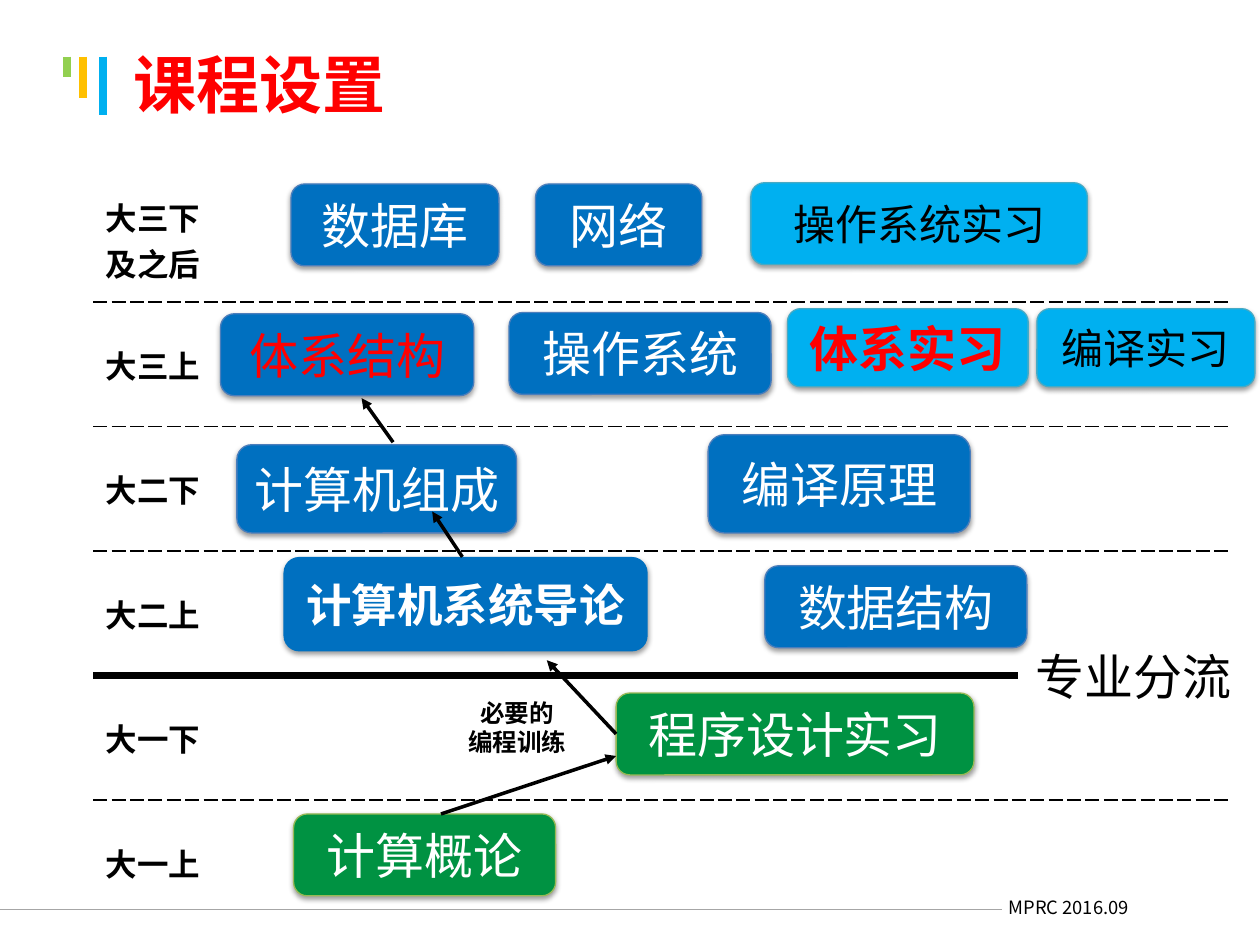
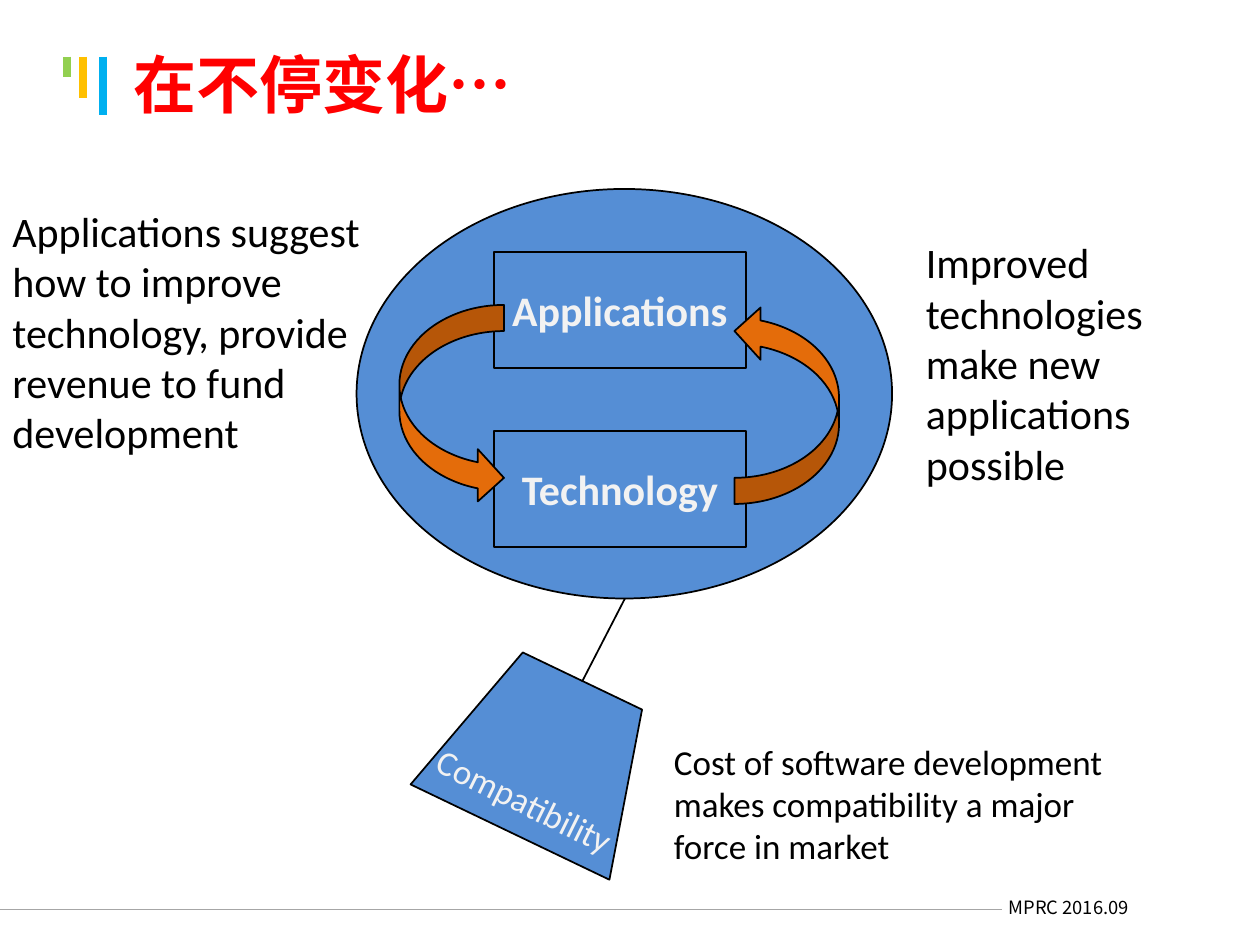
import collections

import pptx
import pptx.dml.color
import pptx.enum.dml
import pptx.enum.shapes
import pptx.enum.text
import pptx.oxml
import pptx.oxml.ns
import pptx.util

Box = collections.namedtuple("Box", "left top width height")
RGB = pptx.dml.color.RGBColor
SHAPE = pptx.enum.shapes.MSO_SHAPE
ALIGN = pptx.enum.text.PP_ALIGN
ANCHOR = pptx.enum.text.MSO_ANCHOR

SCALE = 9144  # EMU in one px, 100 px to the inch

BLACK = RGB(0x00, 0x00, 0x00)
WHITE = RGB(0xFF, 0xFF, 0xFF)
RED = RGB(0xFF, 0x00, 0x00)
GREY = RGB(0xA6, 0xA6, 0xA6)
PALE = RGB(0xF2, 0xF2, 0xF2)
BLUE = RGB(0x00, 0x70, 0xC0)
BLUE_EDGE = RGB(0x4B, 0x7E, 0xBC)
CYAN = RGB(0x00, 0xB0, 0xF0)
CYAN_EDGE = RGB(0x46, 0xAA, 0xC5)
GREEN = RGB(0x00, 0x92, 0x42)
GREEN_EDGE = RGB(0x98, 0xB9, 0x55)
YELLOW = RGB(0xFF, 0xC0, 0x00)
LIME = RGB(0x92, 0xD0, 0x50)
STEEL = RGB(0x55, 0x8E, 0xD5)
ORANGE = RGB(0xE4, 0x6C, 0x0A)

CJK = "Noto Sans CJK SC"
TITLE_BOX = Box(96, 4, 900, 125)


# Shared helpers

def px(*lengths):
    return [pptx.util.Emu(length * SCALE) for length in lengths]


def inside(box, left, top, width, height):
    return Box(box.left + left, box.top + top, width, height)


def xml(tag, content="", **attributes):
    listed = " ".join(f'{name}="{value}"' for name, value in attributes.items())
    return pptx.oxml.parse_xml(
        f'<a:{tag} {pptx.oxml.ns.nsdecls("a")} {listed}>{content}</a:{tag}>')


def text_format(size, color, name=CJK, bold=False):
    return {"size": pptx.util.Pt(size), "name": name, "bold": bold, "color": color}


def write(frame, text, style, align=ALIGN.LEFT, **frame_format):
    for name, value in frame_format.items():
        setattr(frame, name, value)
    for index, line in enumerate(text.split("\n")):
        para = frame.paragraphs[0] if index == 0 else frame.add_paragraph()
        para.alignment = align
        span = para.add_run()
        span.text = line
        for name, value in style.items():
            if name == "color":
                span.font.color.rgb = value
            else:
                setattr(span.font, name, value)
        span.font._element.append(xml("ea", typeface=CJK))


def add_text(page, box, text, style, wrap=True, turn=0):
    shape = page.shapes.add_textbox(*px(*box))
    shape.rotation = turn
    write(shape.text_frame, text, style, word_wrap=wrap)


def add_figure(page, kind, box, fill, edge=None, width=1, flips=()):
    shape = page.shapes.add_shape(kind, *px(*box))
    shape.shadow.inherit = False
    shape.fill.solid()
    shape.fill.fore_color.rgb = fill
    if edge is None:
        shape.line.fill.background()
    else:
        shape.line.color.rgb = edge
        shape.line.width = pptx.util.Pt(width)
    for flip in flips:
        shape._element.spPr.xfrm.set(flip, "1")
    return shape


def add_line(page, start, end, color, width, arrow=False):
    line = page.shapes.add_connector(
        pptx.enum.shapes.MSO_CONNECTOR.STRAIGHT, *px(*start, *end))
    line.line.color.rgb = color
    line.line.width = pptx.util.Pt(width)
    if arrow:
        line.line._get_or_add_ln().append(xml("tailEnd", type="triangle"))
    line._element.spPr.append(xml("effectLst"))
    return line


def add_page(deck, title):
    page = deck.slides.add_slide(deck.slide_layouts[5])
    # Footer rule and text
    add_line(page, (-4, 722), (795, 722), GREY, 0.75)
    add_text(page, Box(791, 706, 140, 28), "MPRC 2016.09", text_format(10.5, BLACK))
    # Title bars
    for left, length, color in ((82, 46, CYAN), (66, 33, YELLOW), (53, 16, LIME)):
        add_line(page, (left, 45), (left, 45 + length), color, 4.5)
    # Title
    holder = page.shapes.title
    holder.left, holder.top, holder.width, holder.height = px(*TITLE_BOX)
    write(holder.text_frame, title, text_format(36, RED, bold=True),
          vertical_anchor=ANCHOR.MIDDLE,
          auto_size=pptx.enum.text.MSO_AUTO_SIZE.NONE)
    return page


# Course plan

def add_border(cell, side, width, dash):
    color = f'<a:solidFill><a:srgbClr val="{BLACK}"/></a:solidFill>'
    cell._tc.get_or_add_tcPr().append(
        xml(side, f'{color}<a:prstDash val="{dash}"/>', w=int(width * 12700)))


def add_terms(page, box):
    terms = ["大三下及之后", "大三上", "大二下", "大二上", "大一下", "大一上"]
    table = page.shapes.add_table(len(terms), 2, *px(*box)).table
    table.first_row = table.horz_banding = False
    plain = "{2D5ABB26-0587-4C30-8999-92F81FD0307C}"
    table._tbl.tblPr.find(pptx.oxml.ns.qn("a:tableStyleId")).text = plain
    for column, width in zip(table.columns, px(110, box.width - 110)):
        column.width = width
    rules = [(1, "sysDash")] * (len(terms) - 1)
    rules[3] = (4.5, "solid")
    for row, term in enumerate(terms):
        for column in range(2):
            cell = table.cell(row, column)
            if row > 0:
                add_border(cell, "lnT", *rules[row - 1])
            if row < len(rules):
                add_border(cell, "lnB", *rules[row])
            cell.fill.background()
        label = table.cell(row, 0)
        label.vertical_anchor = ANCHOR.MIDDLE
        write(label.text_frame, term, text_format(18, BLACK, "Arial", True))


def add_course(page, box, name, fill, edge, style):
    shape = add_figure(page, SHAPE.ROUNDED_RECTANGLE, box, fill, edge, 0.75)
    if fill != WHITE:
        shade = '<a:srgbClr val="000000"><a:alpha val="38000"/></a:srgbClr>'
        effects = shape._element.spPr.find(pptx.oxml.ns.qn("a:effectLst"))
        effects.append(xml("outerShdw", shade, blurRad=39370, dist=20320,
                           dir=5400000, rotWithShape=0))
    write(shape.text_frame, name, style, ALIGN.CENTER, word_wrap=False,
          vertical_anchor=ANCHOR.MIDDLE)
    return shape


def add_courses(page, box):
    core = (BLUE, BLUE_EDGE, text_format(28, WHITE))
    basic = (GREEN, GREEN_EDGE, text_format(28, WHITE))
    lab = (CYAN, CYAN_EDGE, text_format(24, BLACK))
    courses = [
        ("计算机系统导论", (151, 301, 289, 75),
         (BLUE, None, text_format(26, WHITE, bold=True))),
        ("计算概论", (159, 505, 208, 65), basic),
        ("程序设计实习", (415, 409, 284, 65), basic),
        ("体系结构", (101, 108, 201, 65), (BLUE, BLUE_EDGE, text_format(28, RED))),
        ("操作系统", (330, 107, 208, 65), core),
        ("编译原理", (488, 204, 208, 78), core),
        ("操作系统实习", (522, 4, 267, 65), lab),
        ("编译实习", (749, 104, 173, 62), lab),
        ("网络", (351, 5, 132, 65), core),
        ("数据库", (157, 5, 165, 65), core),
        ("专业分流", (734, 367, 183, 57), (WHITE, None, text_format(28, BLACK))),
        ("数据结构", (533, 308, 208, 65), core),
        ("体系实习", (551, 104, 191, 62),
         (CYAN, CYAN_EDGE, text_format(28, RED, bold=True))),
        ("计算机组成", (114, 212, 222, 70), core),
    ]
    placed = {name: add_course(page, inside(box, *place), name, *look)
              for name, place, look in courses}

    # Remark beside the programming course
    remark = add_figure(page, SHAPE.RECTANGLE, inside(box, 293, 409, 87, 56), WHITE)
    margins = {f"margin_{side}": px(4)[0]
               for side in ("left", "top", "right", "bottom")}
    write(remark.text_frame, "必要的\n编程训练", text_format(14, BLACK, bold=True),
          ALIGN.CENTER, word_wrap=False, vertical_anchor=ANCHOR.TOP, **margins)

    # Path through the courses
    steps = [(276, 505, 415, 459), (415, 442, 360, 383),
             (293, 301, 269, 265), (238, 210, 213, 175)]
    arrows = [add_line(page, (box.left + x1, box.top + y1),
                       (box.left + x2, box.top + y2), BLACK, 2, arrow=True)
              for x1, y1, x2, y2 in steps]
    arrows[1].begin_connect(placed["程序设计实习"], 1)


# Forces of change

def add_cycle(page, box):
    add_figure(page, SHAPE.OVAL, inside(box, 0, 0, 425, 325), STEEL, BLACK)
    # Compatibility weight hanging from the ellipse
    weight = add_figure(page, SHAPE.FLOWCHART_MANUAL_OPERATION,
                        inside(box, 63, 384, 175, 133), STEEL, BLACK,
                        flips=["flipV"])
    weight.rotation = 25.6
    add_line(page, (box.left + 179, box.top + 391),
             (box.left + 213, box.top + 325), BLACK, 1)
    add_text(page, inside(box, 48, 464, 172, 44), "Compatibility",
             text_format(20, PALE, "Calibri"), wrap=False, turn=26.3)
    # Two stages
    for index, stage in enumerate(("Applications", "Technology")):
        shape = add_figure(page, SHAPE.RECTANGLE,
                           inside(box, 109, 50 + 142 * index, 200, 92), STEEL, BLACK)
        write(shape.text_frame, stage, text_format(24, PALE, "Calibri", True),
              ALIGN.CENTER, vertical_anchor=ANCHOR.MIDDLE, word_wrap=False)
    # Arrows around them
    for left, flips in ((34, []), (300, ["flipH", "flipV"])):
        add_figure(page, SHAPE.CURVED_RIGHT_ARROW, inside(box, left, 92, 83, 158),
                   ORANGE, BLACK, flips=flips)


def add_notes_around(page):
    notes = [
        ("Cost of software development makes compatibility a major force in market",
         Box(525, 583, 400, 111), 20),
        ("Applications suggest how to improve technology, provide revenue to fund "
         "development", Box(0, 158, 331, 212), 24),
        ("Improved technologies make new applications possible",
         Box(725, 183, 233, 212), 24),
    ]
    for text, box, size in notes:
        add_text(page, box, text, text_format(size, BLACK, "Calibri"))


def main():
    deck = pptx.Presentation()
    deck.slide_width, deck.slide_height = px(1000, 750)

    page = add_page(deck, "课程设置")
    plan = Box(74, 141, 902, 593)
    add_terms(page, plan)
    add_courses(page, plan)

    page = add_page(deck, "在不停变化…")
    add_cycle(page, Box(283, 150, 425, 517))
    add_notes_around(page)

    deck.save("out.pptx")


if __name__ == "__main__":
    main()
